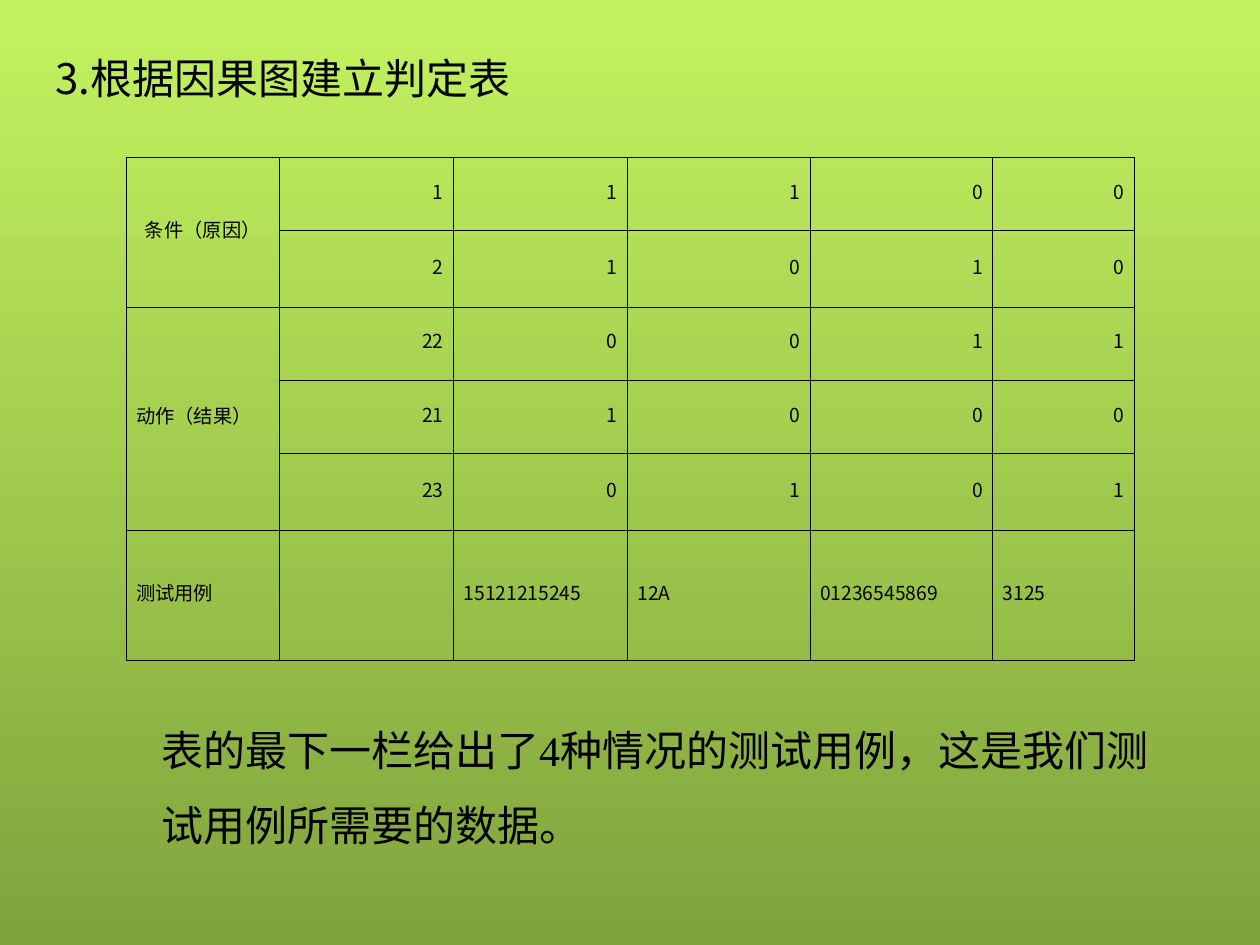
from lxml.etree import SubElement
from pptx import Presentation
from pptx.dml.color import RGBColor
from pptx.enum.text import MSO_ANCHOR, MSO_AUTO_SIZE, PP_ALIGN
from pptx.oxml.ns import qn
from pptx.util import Inches, Pt

CJK = "Noto Sans CJK SC"
WIDTH, HEIGHT = 10, 7.5


def color(hex_value):
    return RGBColor.from_string(hex_value)


def write(frame, text, size=24, font=CJK, ink="000000", align=None, spacing=1.5, indent=0):
    """Put one formatted paragraph into a text frame."""
    paragraph = frame.paragraphs[0]
    paragraph.alignment = align
    paragraph.line_spacing = spacing
    if indent:
        properties = paragraph._p.get_or_add_pPr()
        properties.set("marL", str(Inches(indent)))
        properties.set("indent", "0")
    run = paragraph.add_run()
    run.text = text
    run.font.size = Pt(size)
    run.font.name = font
    run.font.color.rgb = color(ink)
    SubElement(run._r.get_or_add_rPr(), qn("a:ea"), typeface=CJK)


class SlideBuilder:
    """Style of the deck and the slide being filled; boxes are shares of its size."""

    ink = "000000"
    border = 0.45
    cell_size = 11

    def __init__(self, slide):
        self.slide = slide

    def frame(self, left, top, width, height):
        return (Inches(left * WIDTH), Inches(top * HEIGHT),
                Inches(width * WIDTH), Inches(height * HEIGHT))

    def background(self, *shades):
        fill = self.slide.background.fill
        fill.gradient()
        fill.gradient_angle = 270
        for stop, shade in zip(fill.gradient_stops, shades):
            stop.color.rgb = color(shade)

    def text(self, box, content, wrap=True, **style):
        frame = self.slide.shapes.add_textbox(*self.frame(*box)).text_frame
        frame.word_wrap = wrap
        frame.auto_size = MSO_AUTO_SIZE.SHAPE_TO_FIT_TEXT
        write(frame, content, ink=self.ink, **style)

    def outline(self, cell):
        properties = cell._tc.get_or_add_tcPr()
        for side in "LRTB":
            line = SubElement(properties, qn(f"a:ln{side}"), w=str(Pt(self.border)))
            solid = SubElement(line, qn("a:solidFill"))
            SubElement(solid, qn("a:srgbClr"), val=self.ink)

    def table(self, box, rows, widths, heights, merges, align):
        table = self.slide.shapes.add_table(len(rows), len(widths), *self.frame(*box)).table
        table.first_row = table.horz_banding = False
        for column, width in zip(table.columns, widths):
            column.width = Inches(width)
        for row, height in zip(table.rows, heights):
            row.height = Inches(height)
        for r, values in enumerate(rows):
            for c, value in enumerate(values):
                cell = table.cell(r, c)
                self.outline(cell)
                cell.fill.background()
                cell.vertical_anchor = MSO_ANCHOR.MIDDLE
                cell.margin_left = cell.margin_right = Inches(0.08)
                if value:
                    write(cell.text_frame, value, size=self.cell_size, ink=self.ink,
                          align=align(r, c), spacing=Pt(12))
        for first, last in merges:
            table.cell(first, 0).merge(table.cell(last, 0))


def decision_align(row, column):
    """Centre the first label, right-align the 0/1 entries, left-align the rest."""
    if (row, column) == (0, 0):
        return PP_ALIGN.CENTER
    return PP_ALIGN.RIGHT if column and row < 5 else PP_ALIGN.LEFT


def main():
    deck = Presentation()
    deck.slide_width, deck.slide_height = Inches(WIDTH), Inches(HEIGHT)
    page = SlideBuilder(deck.slides.add_slide(deck.slide_layouts[6]))
    page.background("C2F35F", "80A33D")

    # Heading
    page.text((0.034, 0.17 / HEIGHT, 0.389, 0.7 / HEIGHT), "3.根据因果图建立判定表", wrap=False)

    # Decision table: causes, effects, test cases
    decisions = [
        ["条件（原因）", "1", "1", "1", "0", "0"],
        ["", "2", "1", "0", "1", "0"],
        ["动作（结果）", "22", "0", "0", "1", "1"],
        ["", "21", "1", "0", "0", "0"],
        ["", "23", "0", "1", "0", "1"],
        ["测试用例", "", "15121215245", "12A", "01236545869", "3125"],
    ]
    page.table((0.1, 1.25 / HEIGHT, 0.8, 4 / HEIGHT), decisions,
               widths=[1.22, 1.38, 1.38, 1.45, 1.45, 1.12],
               heights=[0.58, 0.61, 0.58, 0.58, 0.61, 1.03],
               merges=[(0, 1), (2, 4)], align=decision_align)

    # Closing remark
    page.text((0.035, 5.5 / HEIGHT, 0.908, 1.3 / HEIGHT),
              "表的最下一栏给出了4种情况的测试用例，这是我们测试用例所需要的数据。",
              font="Times New Roman", indent=0.83)

    deck.save("out.pptx")


if __name__ == "__main__":
    main()
